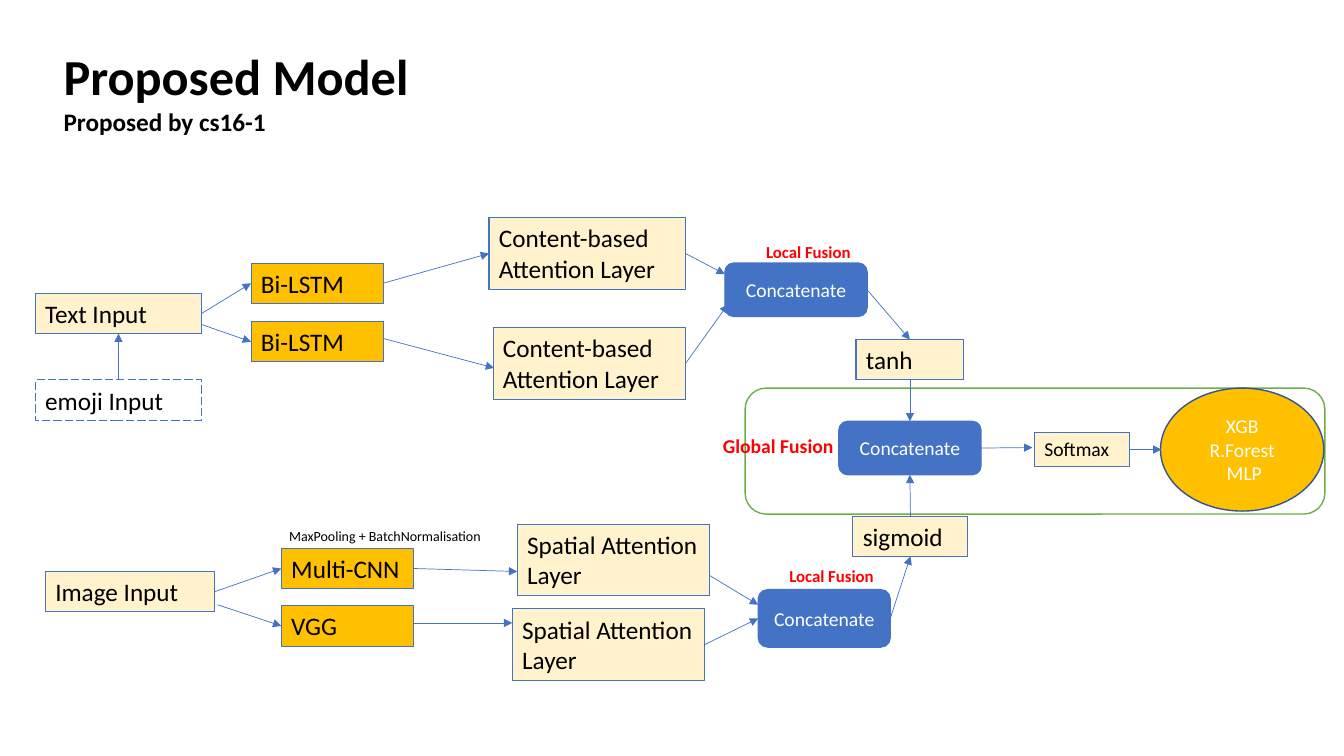
from dataclasses import dataclass
from typing import Union

from lxml import etree
from pptx import Presentation
from pptx import util as u
from pptx.dml import color
from pptx.enum import dml, shapes, text
from pptx.oxml import ns

FONT = "Calibri"
BLUE, GOLD, CREAM = "4472C4", "FFC000", "FFF2CC"
BLACK, WHITE, RED = "000000", "FFFFFF", "FF0000"
TOP, LEFT, BOTTOM, RIGHT = range(4)
Shape = shapes.MSO_SHAPE


@dataclass(frozen=True)
class Style:
    shape: Shape
    fill: str
    line: str = BLUE
    weight: float = 0.75
    ink: str = BLACK
    centred: bool = False
    dashed: bool = False


INPUT = Style(Shape.RECTANGLE, CREAM)
NETWORK = Style(Shape.RECTANGLE, GOLD)
OPTIONAL = Style(Shape.RECTANGLE, "", dashed=True)
FUSION = Style(Shape.ROUNDED_RECTANGLE, BLUE, weight=1, ink=WHITE, centred=True)
CLASSIFIER = Style(Shape.OVAL, GOLD, "325491", 1, WHITE, True)
FRAME = Style(Shape.ROUNDED_RECTANGLE, WHITE, "70AD47", 1)


@dataclass(frozen=True)
class Box:
    name: str
    style: Style
    text: str
    left: float
    top: float
    width: float
    height: float = 0.4
    size: int = 18


@dataclass(frozen=True)
class Label:
    text: str
    left: float
    top: float
    width: float
    height: float
    size: int
    ink: str = RED
    bold: bool = True


@dataclass(frozen=True)
class Side:
    box: str
    site: int


@dataclass(frozen=True)
class Point:
    x: float
    y: float


@dataclass(frozen=True)
class Arrow:
    start: Union[Side, Point]
    end: Union[Side, Point]


CONTENT = "Content-based\nAttention Layer"
SPATIAL = "Spatial Attention Layer"
BOXES = [
    Box("global frame", FRAME, "", 7.39, 3.85, 5.75, 1.25),
    Box("text input", INPUT, "Text Input", 0.35, 2.91, 1.65),
    Box("emoji input", OPTIONAL, "emoji Input", 0.35, 3.77, 1.65),
    Box("lstm 1", NETWORK, "Bi-LSTM", 2.49, 2.61, 1.31),
    Box("lstm 2", NETWORK, "Bi-LSTM", 2.49, 3.19, 1.31),
    Box("content 1", INPUT, CONTENT, 4.85, 2.16, 1.95, 0.71),
    Box("content 2", INPUT, CONTENT, 4.89, 3.25, 1.91, 0.71),
    Box("text fusion", FUSION, "Concatenate", 7.19, 2.61, 1.41, 0.53, 14),
    Box("tanh", INPUT, "tanh", 8.49, 3.37, 1.07),
    Box("image input", INPUT, "Image Input", 0.45, 5.67, 1.68),
    Box("cnn", NETWORK, "Multi-CNN", 2.79, 5.44, 1.31),
    Box("vgg", NETWORK, "VGG", 2.79, 6.01, 1.31),
    Box("spatial 1", INPUT, SPATIAL, 5.13, 5.2, 1.91, 0.71),
    Box("spatial 2", INPUT, SPATIAL, 5.08, 6.04, 1.91, 0.71),
    Box("image fusion", FUSION, "Concatenate", 7.52, 5.85, 1.31, 0.57, 14),
    Box("sigmoid", INPUT, "sigmoid", 8.46, 5.12, 1.14),
    Box("global fusion", FUSION, "Concatenate", 8.32, 4.18, 1.41, 0.53, 14),
    Box("softmax", INPUT, "Softmax", 10.26, 4.29, 0.94, 0.34, 14),
    Box("classifier", CLASSIFIER, "XGB\nR.Forest\n MLP", 11.51, 3.85, 1.62, 1.22, 14),
]
ARROWS = [
    Arrow(Side("emoji input", TOP), Side("text input", BOTTOM)),
    Arrow(Side("text input", RIGHT), Side("lstm 1", LEFT)),
    Arrow(Point(2, 3.22), Side("lstm 2", LEFT)),
    Arrow(Side("lstm 1", RIGHT), Side("content 1", LEFT)),
    Arrow(Point(3.81, 3.36), Point(4.9, 3.65)),
    Arrow(Side("content 1", RIGHT), Point(7.19, 2.72)),
    Arrow(Side("content 2", RIGHT), Point(7.22, 3.02)),
    Arrow(Side("text fusion", RIGHT), Side("tanh", TOP)),
    Arrow(Side("tanh", BOTTOM), Side("global fusion", TOP)),
    Arrow(Side("image input", RIGHT), Side("cnn", LEFT)),
    Arrow(Point(2.16, 6), Side("vgg", LEFT)),
    Arrow(Side("cnn", RIGHT), Point(5.13, 5.67)),
    Arrow(Point(4.1, 6.18), Point(5.08, 6.18)),
    Arrow(Point(7.04, 5.71), Point(7.52, 6)),
    Arrow(Side("spatial 2", RIGHT), Side("image fusion", LEFT)),
    Arrow(Side("image fusion", RIGHT), Side("sigmoid", BOTTOM)),
    Arrow(Side("sigmoid", TOP), Side("global fusion", BOTTOM)),
    Arrow(Side("global fusion", RIGHT), Point(10.24, 4.44)),
    Arrow(Side("softmax", RIGHT), Point(11.52, 4.46)),
]
LABELS = [
    Label("MaxPooling + BatchNormalisation", 2.77, 5.18, 2.13, 0.27, 10, BLACK, False),
    Label("Local Fusion", 7.5, 2.35, 1.06, 0.3, 12),
    Label("Local Fusion", 7.73, 5.56, 1.06, 0.3, 12),
    Label("Global Fusion", 7.07, 4.26, 1.31, 0.34, 14),
]


def rgb(value: str) -> color.RGBColor:
    return color.RGBColor.from_string(value)


def set_font(font, size: int, ink: str, bold: bool = False) -> None:
    font.name, font.size, font.bold = FONT, u.Pt(size), bold
    font.color.rgb = rgb(ink)


def place(item: Union[Box, Label]) -> list:
    return [u.Inches(n) for n in (item.left, item.top, item.width, item.height)]


def draw_title(title) -> None:
    title.left, title.top, title.width, title.height = (
        u.Inches(n) for n in (0.53, 0.4, 6.35, 1.01))
    frame = title.text_frame
    frame.vertical_anchor = text.MSO_ANCHOR.TOP
    frame.auto_size = text.MSO_AUTO_SIZE.SHAPE_TO_FIT_TEXT
    para = frame.paragraphs[0]
    para.alignment = text.PP_ALIGN.LEFT
    set_font(para.font, 36, BLACK, True)
    para.add_run().text = "Proposed Model"
    para.add_line_break()
    byline = para.add_run()
    byline.text = "Proposed by cs16-1"
    byline.font.size = u.Pt(18)


def draw_box(page, box: Box):
    style = box.style
    shape = page.shapes.add_shape(style.shape, *place(box))
    shape.shadow.inherit = False
    if style.fill:
        shape.fill.solid()
        shape.fill.fore_color.rgb = rgb(style.fill)
    else:
        shape.fill.background()
    shape.line.color.rgb = rgb(style.line)
    shape.line.width = u.Pt(style.weight)
    if style.dashed:
        shape.line.dash_style = dml.MSO_LINE.LONG_DASH
    if box.text:
        frame = shape.text_frame
        frame.word_wrap = True
        frame.vertical_anchor = text.MSO_ANCHOR.MIDDLE if style.centred else text.MSO_ANCHOR.TOP
        if not style.centred:
            frame.auto_size = text.MSO_AUTO_SIZE.SHAPE_TO_FIT_TEXT
        para = frame.paragraphs[0]
        para.text = box.text.replace("\n", "\v")
        para.alignment = text.PP_ALIGN.CENTER if style.centred else text.PP_ALIGN.LEFT
        set_font(para.font, box.size, style.ink)
    return shape


def draw_label(page, label: Label) -> None:
    frame = page.shapes.add_textbox(*place(label)).text_frame
    frame.word_wrap = False
    frame.auto_size = text.MSO_AUTO_SIZE.SHAPE_TO_FIT_TEXT
    para = frame.paragraphs[0]
    para.text = label.text
    set_font(para.font, label.size, label.ink, label.bold)


def draw_arrow(page, arrow: Arrow, drawn: dict) -> None:
    ends = [(u.Inches(end.x), u.Inches(end.y)) if isinstance(end, Point) else (0, 0)
            for end in (arrow.start, arrow.end)]
    line = page.shapes.add_connector(shapes.MSO_CONNECTOR.STRAIGHT, *ends[0], *ends[1])
    for end, connect in ((arrow.start, line.begin_connect), (arrow.end, line.end_connect)):
        if isinstance(end, Side):
            connect(drawn[end.box], end.site)
    line.line.color.rgb = rgb(BLUE)
    line.line.width = u.Pt(0.5)
    etree.SubElement(line.line._get_or_add_ln(), ns.qn("a:tailEnd"), type="triangle")
    etree.SubElement(line._element.spPr, ns.qn("a:effectLst"))


def main() -> None:
    deck = Presentation()
    deck.slide_width, deck.slide_height = u.Inches(13.33), u.Inches(7.5)
    page = deck.slides.add_slide(deck.slide_layouts[5])
    draw_title(page.shapes.title)
    drawn = {box.name: draw_box(page, box) for box in BOXES}
    for arrow in ARROWS:
        draw_arrow(page, arrow, drawn)
    for label in LABELS:
        draw_label(page, label)
    deck.save("out.pptx")


if __name__ == "__main__":
    main()
